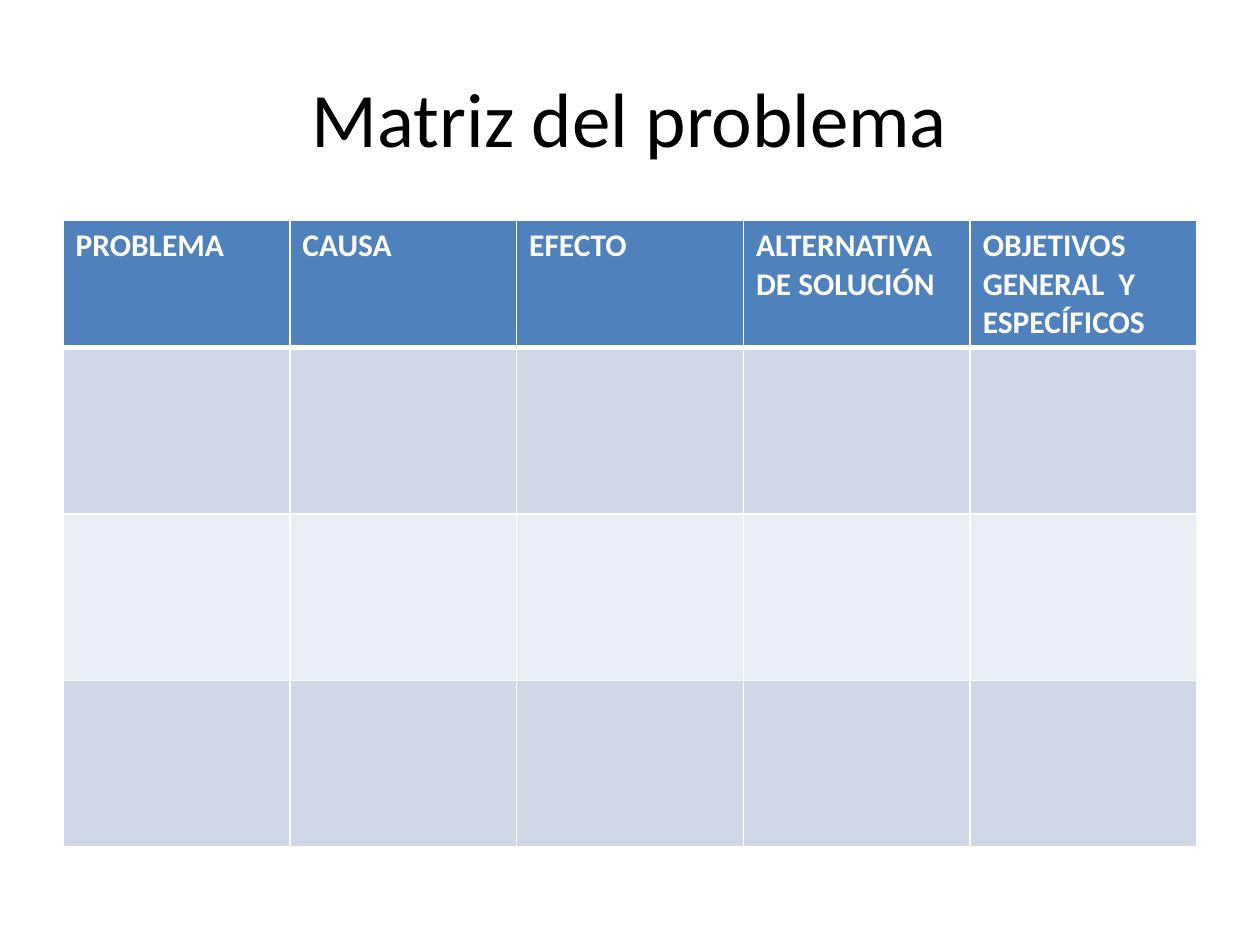
from dataclasses import dataclass

from lxml import etree
from pptx import Presentation
from pptx.dml.color import RGBColor
from pptx.enum import text
from pptx.oxml import ns
from pptx.util import Inches, Pt


@dataclass(frozen=True)
class Theme:
    font: str = "Calibri"
    title_size: int = 44
    header_size: int = 18
    title: str = "000000"
    header_text: str = "FFFFFF"
    header_fill: str = "4F81BD"
    bands: tuple = ("D0D8E8", "E9EDF4")
    border: str = "FFFFFF"
    thin: int = 1
    thick: int = 3


THEME = Theme()
HEADINGS = (
    "PROBLEMA",
    "CAUSA",
    "EFECTO",
    "ALTERNATIVA DE SOLUCIÓN",
    "OBJETIVOS GENERAL  Y ESPECÍFICOS",
)
BODY_ROWS = 3
HEADER_HEIGHT = Inches(1.01)


def style_font(font, size, color, bold=False):
    font.name = THEME.font
    font.size = Pt(size)
    font.bold = bold
    font.color.rgb = RGBColor.from_string(color)


def set_borders(cell, top, bottom):
    properties = cell._tc.get_or_add_tcPr()
    widths = {"lnL": THEME.thin, "lnR": THEME.thin, "lnT": top, "lnB": bottom}
    for side, width in widths.items():
        line = etree.SubElement(properties, ns.qn(f"a:{side}"), w=str(Pt(width)))
        fill = etree.SubElement(line, ns.qn("a:solidFill"))
        etree.SubElement(fill, ns.qn("a:srgbClr"), val=THEME.border)


def add_title(slide, left, top, width, height):
    title_box = slide.shapes.add_textbox(left, top, width, height)
    frame = title_box.text_frame
    frame.word_wrap = True
    frame.vertical_anchor = text.MSO_ANCHOR.MIDDLE
    frame.text = "Matriz del problema"
    heading = frame.paragraphs[0]
    heading.alignment = text.PP_ALIGN.CENTER
    style_font(heading.runs[0].font, THEME.title_size, THEME.title)


def add_matrix(slide, left, top, width, height):
    matrix = slide.shapes.add_table(
        BODY_ROWS + 1, len(HEADINGS), left, top, width, height
    ).table
    for column in matrix.columns:
        column.width = width // len(HEADINGS)

    for index, row in enumerate(matrix.rows):
        is_header = index == 0
        row.height = HEADER_HEIGHT if is_header else (height - HEADER_HEIGHT) // BODY_ROWS
        fill = THEME.header_fill if is_header else THEME.bands[(index - 1) % 2]
        # The rule between header and body is heavier than the others
        above = THEME.thick if index == 1 else THEME.thin
        below = THEME.thick if is_header else THEME.thin
        for cell in row.cells:
            set_borders(cell, above, below)
            cell.fill.solid()
            cell.fill.fore_color.rgb = RGBColor.from_string(fill)

    # Column headings
    for cell, heading in zip(matrix.rows[0].cells, HEADINGS):
        cell.text_frame.text = heading
        run = cell.text_frame.paragraphs[0].runs[0]
        style_font(run.font, THEME.header_size, THEME.header_text, bold=True)


def main():
    deck = Presentation()
    deck.slide_width, deck.slide_height = Inches(10), Inches(7.5)
    slide = deck.slides.add_slide(deck.slide_layouts[6])
    add_title(slide, Inches(0.5), Inches(0.3), Inches(9), Inches(1.25))
    add_matrix(slide, Inches(0.5), Inches(1.75), Inches(9), Inches(4.97))
    deck.save("out.pptx")


if __name__ == "__main__":
    main()
